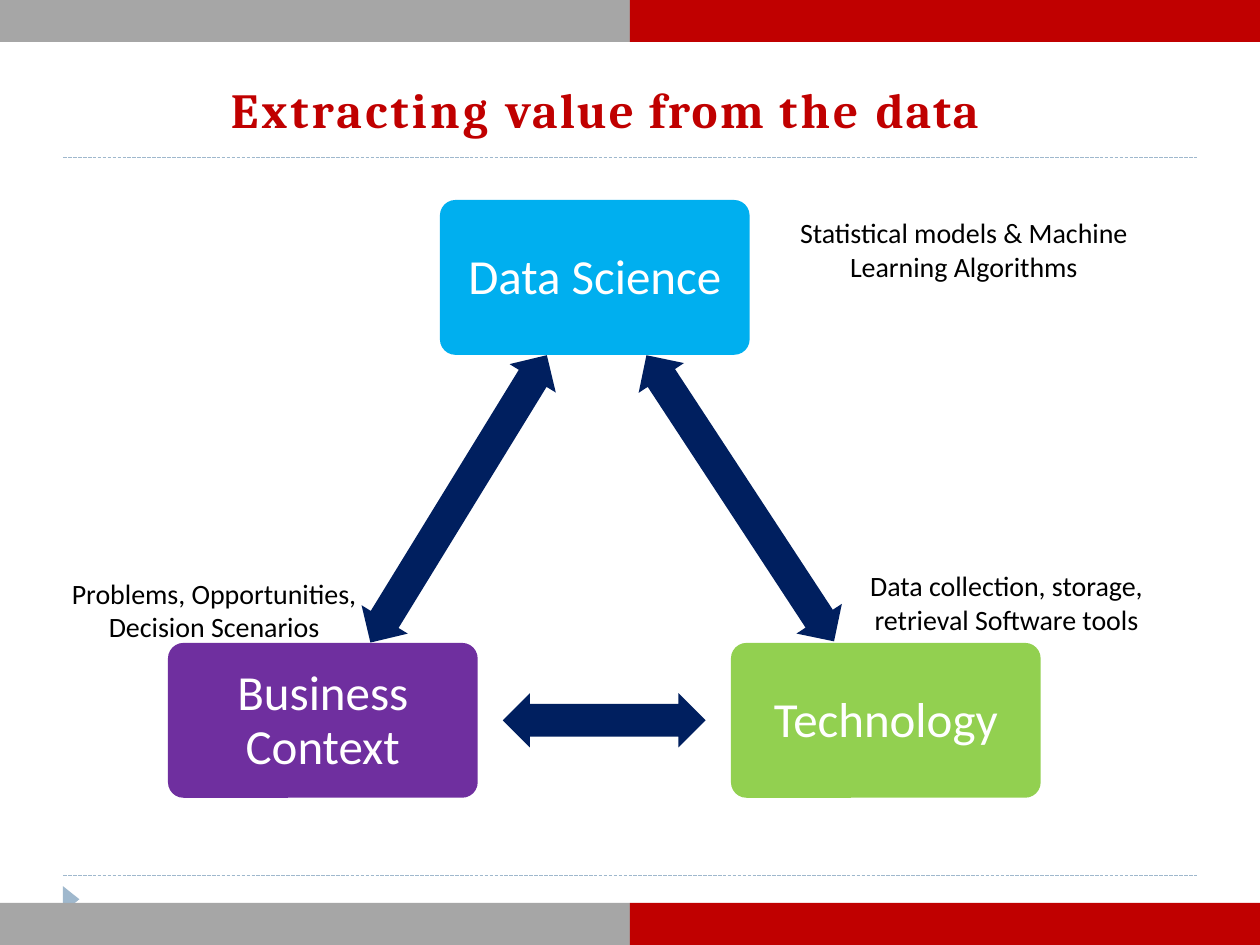
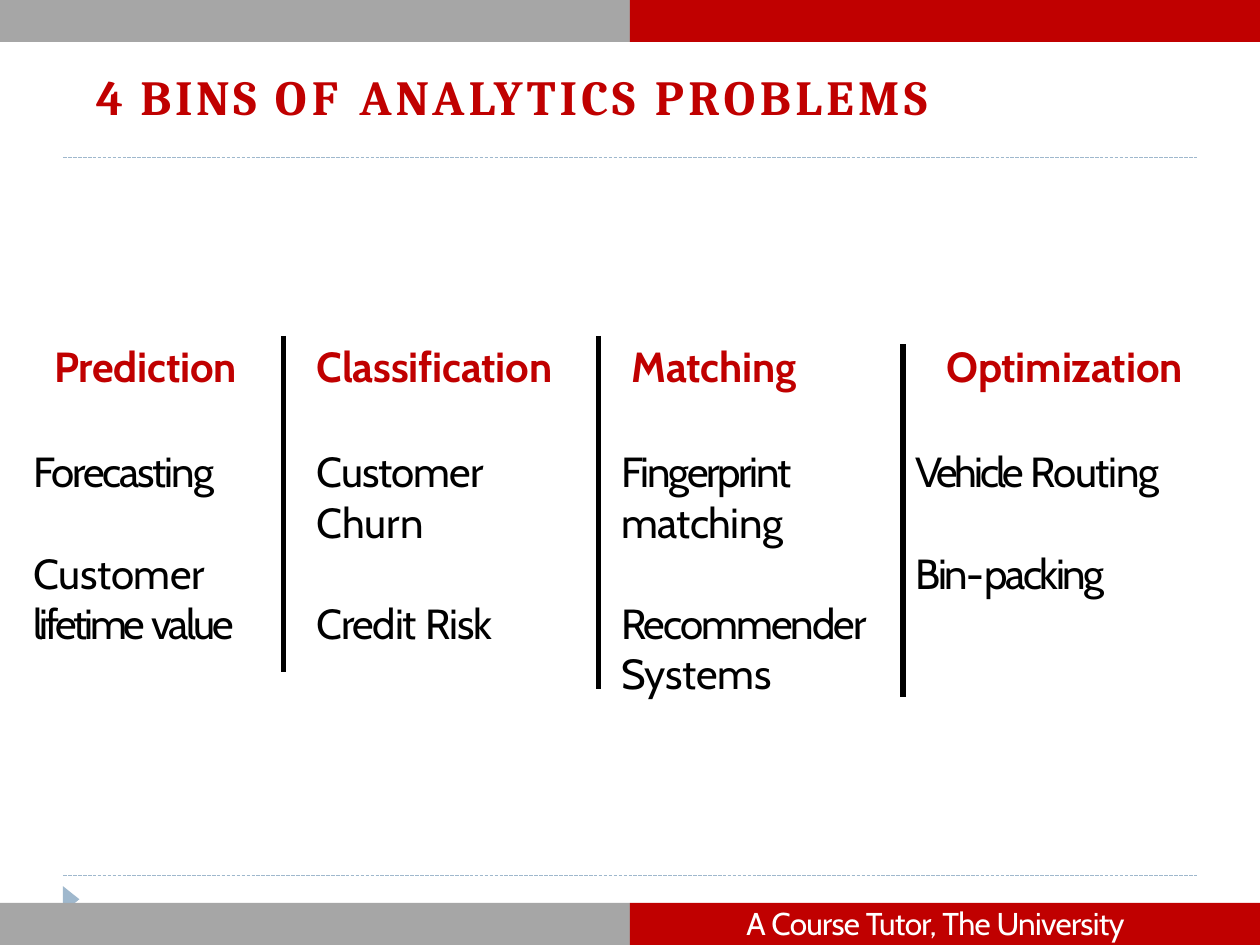
from math import atan2, degrees, hypot
from lxml import etree
from pptx import Presentation
from pptx.dml.color import RGBColor
from pptx.enum.dml import MSO_LINE
from pptx.enum.shapes import MSO_CONNECTOR as CONN, MSO_SHAPE as SHAPE
from pptx.enum.text import MSO_ANCHOR as ANCHOR, MSO_AUTO_SIZE as FIT, PP_ALIGN as ALIGN
from pptx.oxml.ns import qn
from pptx.util import Pt

RED = RGBColor(0xC0, 0x00, 0x00)
GREY = RGBColor(0xA6, 0xA6, 0xA6)
PALE_BLUE = RGBColor(0x9F, 0xB8, 0xCD)
NAVY = RGBColor(0x00, 0x1F, 0x5F)
SKY = RGBColor(0x00, 0xAF, 0xEF)
PURPLE = RGBColor(0x6F, 0x2F, 0x9F)
GREEN = RGBColor(0x92, 0xD0, 0x50)
BLACK = RGBColor(0x00, 0x00, 0x00)
WHITE = RGBColor(0xFF, 0xFF, 0xFF)

WIDTH, HEIGHT = 720, 540
BAND_H = 24
RULE_X, RULE_W = 36, 648
RULE_YS = (90, 500.4)

TITLE = dict(name="Cambria", size=Pt(28), bold=True, color=RED)
BOX = dict(name="Calibri", size=Pt(28), color=WHITE)
CAPTION = dict(name="Calibri", size=Pt(16), color=BLACK)
HEADING = dict(name="Cabin", size=Pt(24), bold=True, color=RED)
BODY = dict(name="Cabin", size=Pt(24), color=BLACK)
FOOTER = dict(name="Cabin", size=Pt(18), color=WHITE)

# A paragraph is a string, or a list of (text, letter spacing) runs.
VALUE_TITLE = [("Extracting ", 1.9), ("value ", 1.2), ("from ", 1.4), ("the ", 1.9), ("data", 1.1)]
BOX_W, BOX_H = 177, 88.5
BOXES = [  # text, left, top, fill
    ("Data Science", 251.4, 114.3, SKY),
    ("Technology", 417.7, 367.4, GREEN),
    ("Business Context", 96, 367.4, PURPLE),
]
ARROW_W = 31
ARROWS = [  # tip to tip
    ((312.5, 203), (211.7, 367.2)),
    ((369.4, 203), (476.6, 366.5)),
    ((287.3, 411.6), (403.2, 411.6)),
]
CAPTIONS = [  # paragraphs, left, top, width
    (["Statistical models & Machine Learning Algorithms"], 456, 122.4, 189.5),
    (["Data collection, storage,", "retrieval Software tools"], 496, 324, 158.4),
    (["Problems, Opportunities,", "Decision Scenarios"], 39.6, 328.3, 165.6),
]

BINS_TITLE = [("4 ", 1.8), ("BINS ", 2.1), ("OF ", 3.1), ("ANALYTICS ", 2.4), ("PROBLEMS", 2.6)]
BINS = [  # heading, heading left, examples, examples left
    ("Prediction", 30, [
        [("Forecasting", -1.2)],
        [("Customer ", -0.1), ("lifetime ", -1.9), ("value", -1.6)]], 18),
    ("Classification", 180, [
        [("Customer ", -0.5), ("Churn", -0.1)],
        [("Credit ", -0.7), ("Risk", -0.5)]], 180),
    ("Matching", 360, [
        [("Fingerprint ", -1.3), ("matching", -0.3)],
        [("Recommender ", -1.1), ("Systems", -0.1)]], 354),
    ("Optimization", 540, [
        [("Vehicle ", -1.8), ("Routing", -0.8)],
        [("Bin-", -1.1), ("packing", -1.4)]], 522),
]
BIN_W, HEADING_Y, EXAMPLES_Y = 152, 193.7, 253.8
EXAMPLE_GAP = 29
DIVIDERS = [(162, 192, 384), (342, 192, 394), (516, 196.8, 398.4)]  # x, top, bottom
AUTHOR = [("A Course Tutor, The University", -0.4)]


def pts(*values):
    return [Pt(v) for v in values]


def paint(sp, color):
    sp.shadow.inherit = False
    sp.fill.solid()
    sp.fill.fore_color.rgb = color
    sp.line.fill.background()
    return sp


def write(tf, paras, style, align=ALIGN.LEFT, gap=0, leading=None, margins=(0, 0), anchor=ANCHOR.TOP):
    """Fill a text frame; margins are (left, top), gap goes between paragraphs."""
    left, top = pts(*margins)
    frame = dict(word_wrap=True, auto_size=FIT.NONE, vertical_anchor=anchor,
                 margin_left=left, margin_top=top, margin_right=0, margin_bottom=0)
    for key, value in frame.items():
        setattr(tf, key, value)
    for i, para in enumerate(paras):
        p = tf.add_paragraph() if i else tf.paragraphs[0]
        p.alignment = align
        p.space_before = Pt(gap if i else 1)
        if leading:
            p.line_spacing = Pt(leading)
        for text, spacing in [(para, 0)] if isinstance(para, str) else para:
            r = p.add_run()
            r.text = text
            for key, value in style.items():
                if key == "color":
                    r.font.color.rgb = value
                else:
                    setattr(r.font, key, value)
            if spacing:
                r._r.get_or_add_rPr().set("spc", str(round(spacing * 100)))


def add_text(slide, paras, style, x, y, w, h, **options):
    sp = slide.shapes.add_textbox(*pts(x, y, w, h))
    write(sp.text_frame, paras, style, **options)


def add_line(slide, x1, y1, x2, y2, color, width, dash=None):
    line = slide.shapes.add_connector(CONN.STRAIGHT, *pts(x1, y1, x2, y2))
    line.line.color.rgb = color
    line.line.width = Pt(width)
    if dash:
        line.line.dash_style = dash
    etree.SubElement(line._element.spPr, qn("a:effectLst"))


def add_double_arrow(slide, start, end):
    (x1, y1), (x2, y2) = start, end
    length = hypot(x2 - x1, y2 - y1)
    left, top = (x1 + x2 - length) / 2, (y1 + y2 - ARROW_W) / 2
    sp = slide.shapes.add_shape(SHAPE.LEFT_RIGHT_ARROW, *pts(left, top, length, ARROW_W))
    sp.adjustments[0], sp.adjustments[1] = 0.6, 0.5
    sp.rotation = degrees(atan2(y2 - y1, x2 - x1))
    paint(sp, NAVY)


def add_slide(prs, title, title_left, title_top):
    """Add a slide with its title, rules, corner marker and colour bands."""
    slide = prs.slides.add_slide(prs.slide_layouts[5])
    for y in RULE_YS:
        add_line(slide, RULE_X, y, RULE_X + RULE_W, y, PALE_BLUE, 0.72, MSO_LINE.SQUARE_DOT)
    marker = slide.shapes.build_freeform(*pts(RULE_X, 506.4))
    marker.add_line_segments([pts(RULE_X, 521.3), pts(45.4, 513.9)])
    paint(marker.convert_to_shape(), PALE_BLUE)
    for y in (0, HEIGHT - BAND_H):
        for x, color in ((0, GREY), (WIDTH / 2, RED)):
            paint(slide.shapes.add_shape(SHAPE.RECTANGLE, *pts(x, y, WIDTH / 2, BAND_H)), color)
    sp = slide.shapes.title
    sp.left, sp.top, sp.width, sp.height = pts(12, 25.2, 676.8, 61.2)
    write(sp.text_frame, [title], TITLE, margins=(title_left, title_top))
    return slide


def build_value_slide(prs):
    slide = add_slide(prs, VALUE_TITLE, 120, 20)
    for text, x, y, color in BOXES:
        sp = slide.shapes.add_shape(SHAPE.ROUNDED_RECTANGLE, *pts(x, y, BOX_W, BOX_H))
        sp.adjustments[0] = 0.1
        paint(sp, color)
        write(sp.text_frame, [text], BOX, align=ALIGN.CENTER, leading=30.7, anchor=ANCHOR.MIDDLE)
    for start, end in ARROWS:
        add_double_arrow(slide, start, end)
    for paras, x, y, w in CAPTIONS:
        add_text(slide, paras, CAPTION, x, y, w, 40.3, align=ALIGN.CENTER, margins=(0, 1))


def build_bins_slide(prs):
    slide = add_slide(prs, BINS_TITLE, 43, 13)
    for heading, heading_x, examples, examples_x in BINS:
        add_text(slide, [[(heading, -0.1)]], HEADING, heading_x, HEADING_Y, BIN_W, 31, margins=(1, 1))
        add_text(slide, examples, BODY, examples_x, EXAMPLES_Y, BIN_W, 146,
                 gap=EXAMPLE_GAP, margins=(1, 1))
    for x, top, bottom in DIVIDERS:
        add_line(slide, x, top, x, bottom, BLACK, 3)
    add_text(slide, [AUTHOR], FOOTER, 425.5, 515.5, 250, 24, margins=(1, 1))


def main():
    prs = Presentation()
    prs.slide_width, prs.slide_height = pts(WIDTH, HEIGHT)
    build_value_slide(prs)
    build_bins_slide(prs)
    prs.save("out.pptx")


if __name__ == "__main__":
    main()
